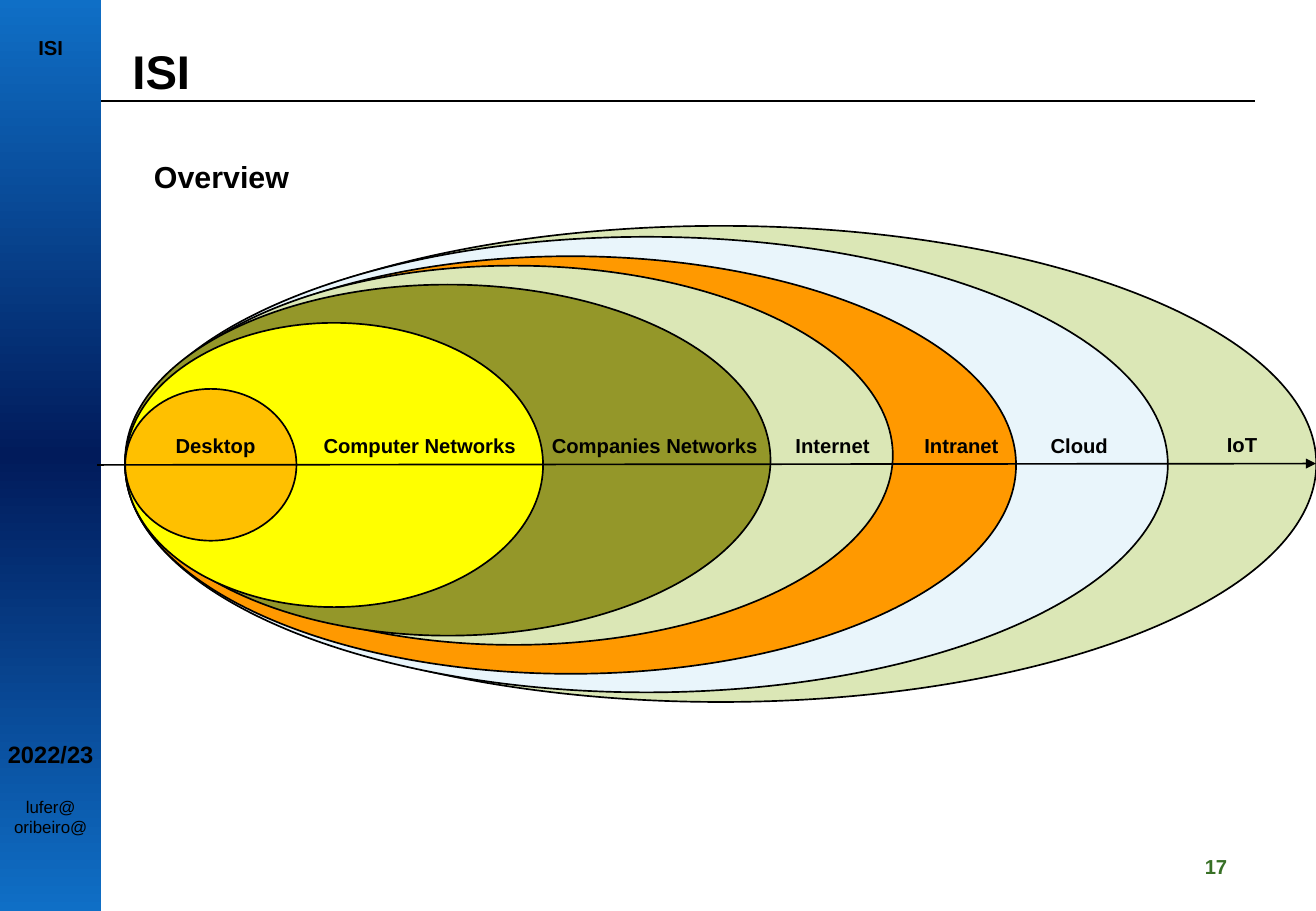
import dataclasses

import pptx
import pptx.dml.color
import pptx.enum.dml
import pptx.enum.shapes
import pptx.enum.text
import pptx.oxml
import pptx.oxml.ns
import pptx.util
from lxml import etree
import copy

Pt = pptx.util.Pt
Align = pptx.enum.text.PP_ALIGN
Anchor = pptx.enum.text.MSO_ANCHOR
Kind = pptx.enum.shapes.MSO_SHAPE
qn = pptx.oxml.ns.qn

WIDTH, HEIGHT = 780, 540
BAR = 60
INK = "000000"


@dataclasses.dataclass
class Ring:
    left: float
    top: float
    width: float
    height: float
    fill: str


@dataclasses.dataclass
class Label:
    text: str
    left: float
    width: float
    top: float = 253.4


@dataclasses.dataclass
class Note:
    """A centred line of text in the side bar."""
    text: str
    top: float
    size: float
    bold: bool


RINGS = [
    Ring(74.2, 133.9, 706, 282.2, "DBE7B6"),
    Ring(74.2, 140.4, 618, 270, "E9F5FB"),
    Ring(74.2, 151.9, 528, 247.5, "FF9900"),
    Ring(79.9, 157.5, 449.3, 224.8, "DBE7B6"),
    Ring(74.2, 168.7, 382.5, 208.1, "949729"),
    Ring(74.2, 191.4, 247.7, 168.5, "FFFF00"),
    Ring(74.2, 230.5, 101.5, 90, "FFC000"),
]

LABELS = [
    Label("Desktop", 79.9, 95.8),
    Label("Computer Networks", 169.9, 157.7),
    Label("Companies Networks", 310.3, 155.5),
    Label("Internet", 451.4, 84.2),
    Label("Intranet", 519.1, 101.5),
    Label("Cloud", 597.6, 84.2),
    Label("IoT", 684.7, 103, 252.7),
]

NOTES = [
    Note("ISI", 21, 12, True),
    Note("2022/23", 438.8, 14, True),
    Note("lufer@", 472, 10, False),
    Note("oribeiro@", 484.3, 10, False),
]


def tint(code: str) -> pptx.dml.color.RGBColor:
    return pptx.dml.color.RGBColor.from_string(code)


def write(shape, text: str, *, size: float = 12, bold: bool = True,
          color: str = INK, align=Align.LEFT, wrap: bool = True,
          pad: float = 7.2, anchor=Anchor.TOP) -> None:
    frame = shape.text_frame
    frame.text = text
    frame.word_wrap = wrap
    frame.auto_size = pptx.enum.text.MSO_AUTO_SIZE.NONE
    frame.vertical_anchor = anchor
    frame.margin_left = frame.margin_right = Pt(pad)
    frame.margin_top = frame.margin_bottom = Pt(pad / 2)
    para = frame.paragraphs[0]
    para.alignment = align
    font = para.runs[0].font
    font.name, font.size, font.bold = "Arial", Pt(size), bold
    font.color.rgb = tint(color)


def add_text(slide, text: str, left: float, top: float, width: float,
             height: float, **style) -> None:
    box = slide.shapes.add_textbox(Pt(left), Pt(top), Pt(width), Pt(height))
    write(box, text, **style)


def add_bar(slide) -> None:
    bar = slide.shapes.add_shape(Kind.RECTANGLE, 0, 0, Pt(BAR), Pt(HEIGHT))
    bar.shadow.inherit = False
    bar.line.fill.background()
    bar.fill.gradient()
    bar.fill.gradient_angle = 90
    stops = bar.element.spPr.find(qn("a:gradFill")).find(qn("a:gsLst"))
    stops.insert(1, copy.deepcopy(stops[0]))
    colors = ["0F6FC6", "011B5B", "0F6FC6"]
    for stop, place, color in zip(bar.fill.gradient_stops, (0, 0.5, 1), colors):
        stop.position = place
        stop.color.rgb = tint(color)


def add_ring(slide, ring: Ring) -> None:
    oval = slide.shapes.add_shape(Kind.OVAL, Pt(ring.left), Pt(ring.top),
                                  Pt(ring.width), Pt(ring.height))
    oval.shadow.inherit = False
    oval.fill.solid()
    oval.fill.fore_color.rgb = tint(ring.fill)
    oval.line.color.rgb = tint(INK)
    oval.line.width = Pt(1)


def add_line(slide, x1: float, y1: float, x2: float, y2: float,
             arrow: bool = False) -> None:
    line = slide.shapes.add_connector(pptx.enum.shapes.MSO_CONNECTOR.STRAIGHT,
                                      Pt(x1), Pt(y1), Pt(x2), Pt(y2))
    line.line.color.rgb = tint(INK)
    line.line.width = Pt(1)
    if arrow:
        stroke = line.element.spPr.find(qn("a:ln"))
        etree.SubElement(stroke, qn("a:tailEnd"), type="triangle")
    etree.SubElement(line.element.spPr, qn("a:effectLst"))


def main() -> None:
    deck = pptx.Presentation()
    deck.slide_width, deck.slide_height = Pt(WIDTH), Pt(HEIGHT)
    slide = deck.slides.add_slide(deck.slide_layouts[5])

    title = slide.shapes.title
    title.left, title.top = Pt(71.3), Pt(21.6)
    title.width, title.height = Pt(49), Pt(41)
    write(title, "ISI", size=28, wrap=False)

    add_bar(slide)
    for note in NOTES:
        add_text(slide, note.text, 0, note.top, BAR, note.size * 1.2,
                 size=note.size, bold=note.bold, align=Align.CENTER,
                 pad=0, anchor=Anchor.MIDDLE)
    for ring in RINGS:
        add_ring(slide, ring)
    add_text(slide, "Overview", 84.2, 90, 113.8, 41, size=18)
    add_line(slide, BAR, 59.8, 744, 59.8)
    add_line(slide, 57.6, 275.6, WIDTH, 274.8, arrow=True)
    for label in LABELS:
        add_text(slide, label.text, label.left, label.top, label.width, 21.8,
                 align=Align.CENTER)
    add_text(slide, "17", 707, 502.6, 34.6, 21.8, color="387026")

    deck.save("out.pptx")


if __name__ == "__main__":
    main()
